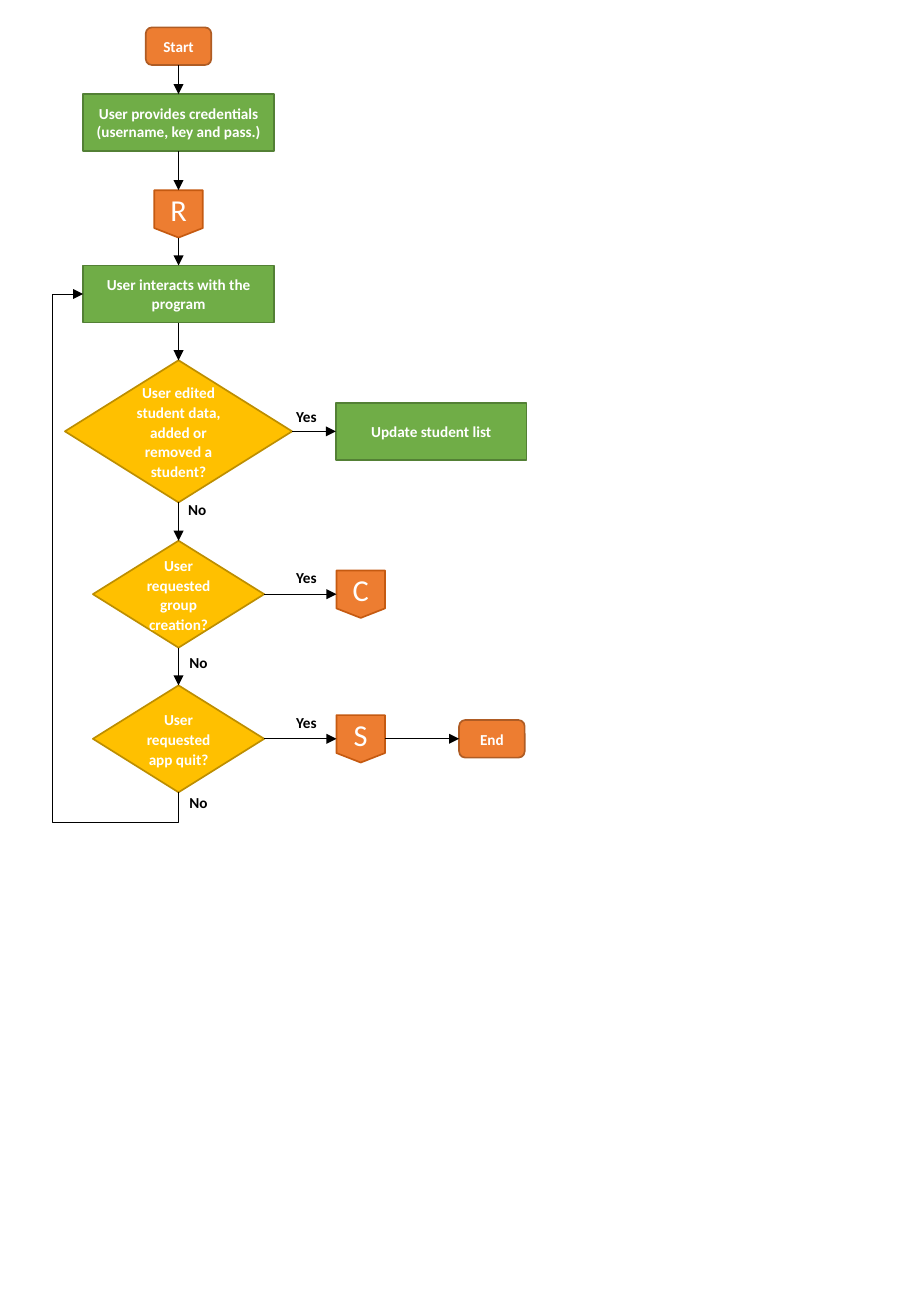
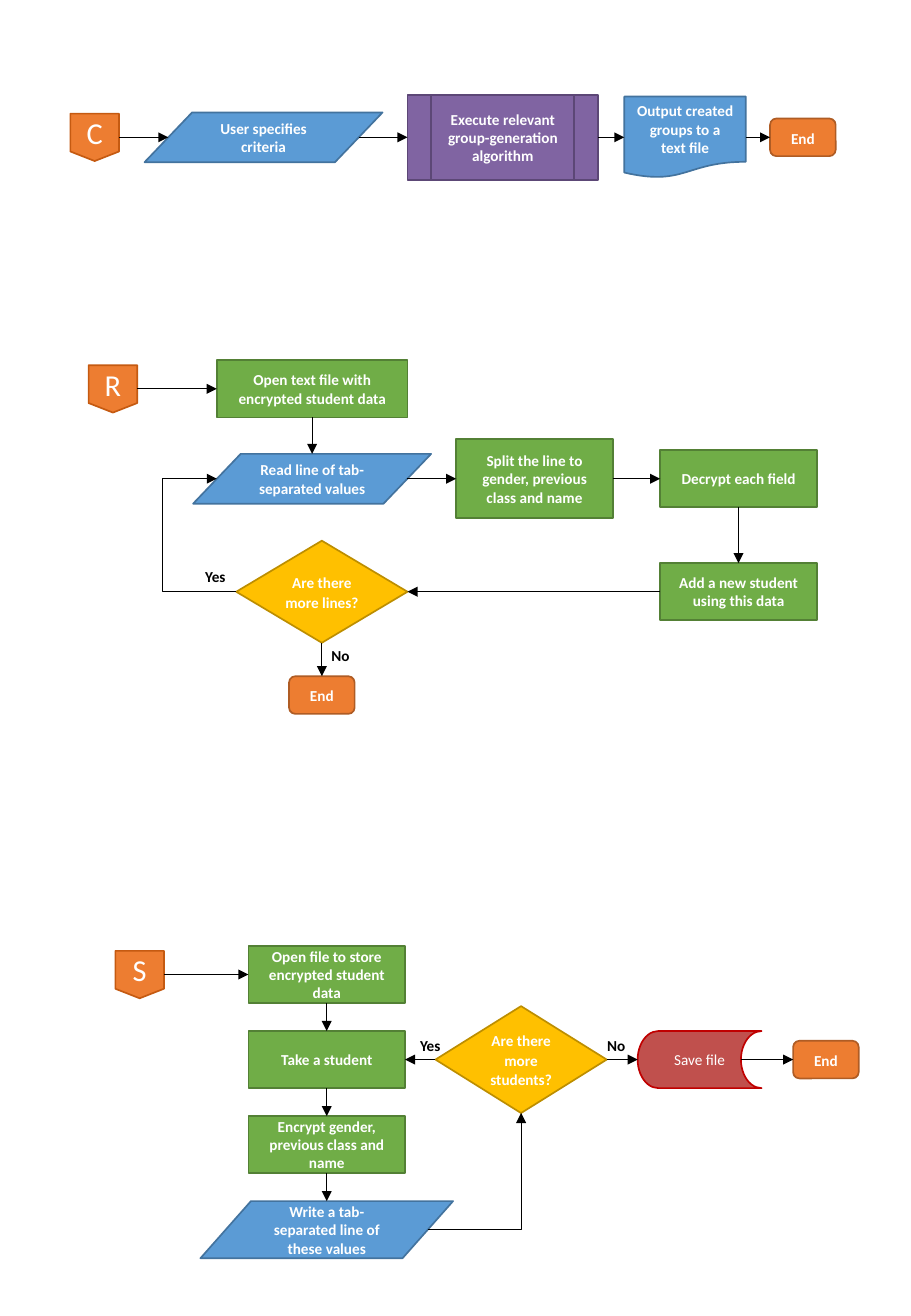
from dataclasses import dataclass
from enum import IntEnum

from pptx import Presentation
from pptx import util as u
from pptx.dml.color import RGBColor
from pptx.enum import shapes, text
from pptx.oxml.ns import qn
from pptx.slide import Slide
from lxml import etree

PX = u.Inches(1) // 100
SLIDE_SIZE = (750, 1083)
FONT = "Calibri"

WHITE = RGBColor(0xFF, 0xFF, 0xFF)
BLACK = RGBColor(0x00, 0x00, 0x00)
ORANGE = RGBColor(0xED, 0x7D, 0x31)
ORANGE_EDGE = RGBColor(0xAF, 0x5C, 0x24)
PAGE_EDGE = RGBColor(0xC5, 0x5A, 0x11)
GREEN = RGBColor(0x70, 0xAD, 0x47)
GREEN_EDGE = RGBColor(0x53, 0x80, 0x35)
YELLOW = RGBColor(0xFF, 0xC0, 0x00)
YELLOW_EDGE = RGBColor(0xBD, 0x8E, 0x00)
BLUE = RGBColor(0x5B, 0x9B, 0xD5)
BLUE_EDGE = RGBColor(0x43, 0x73, 0x9E)
PURPLE = RGBColor(0x80, 0x64, 0xA2)
PURPLE_EDGE = RGBColor(0x5C, 0x47, 0x76)
RED = RGBColor(0xC0, 0x50, 0x4D)
RED_EDGE = RGBColor(0xC0, 0x00, 0x00)


class Side(IntEnum):
    TOP = 0
    LEFT = 1
    BOTTOM = 2
    RIGHT = 3


TOP, LEFT, BOTTOM, RIGHT = Side


@dataclass(frozen=True)
class Kind:
    """Look of one flowchart symbol; insets are shares of its width."""
    preset: shapes.MSO_SHAPE
    fill: RGBColor
    edge: RGBColor
    width: int
    height: int
    font_size: int = 9
    bold: bool = True
    compact: bool = False
    left_inset: float = 0
    right_inset: float = 0


SYMBOL = shapes.MSO_SHAPE
TERMINAL = Kind(SYMBOL.FLOWCHART_ALTERNATE_PROCESS, ORANGE, ORANGE_EDGE, 54, 31, compact=True)
PROCESS = Kind(SYMBOL.FLOWCHART_PROCESS, GREEN, GREEN_EDGE, 157, 47)
DECISION = Kind(SYMBOL.FLOWCHART_DECISION, YELLOW, YELLOW_EDGE, 141, 88, compact=True)
PAGE_LINK = Kind(SYMBOL.FLOWCHART_OFFPAGE_CONNECTOR, ORANGE, PAGE_EDGE, 40, 39,
                 font_size=18, bold=False)
DATA = Kind(SYMBOL.FLOWCHART_DATA, BLUE, BLUE_EDGE, 196, 41, left_inset=0.1, right_inset=0.1)
ROUTINE = Kind(SYMBOL.FLOWCHART_PREDEFINED_PROCESS, PURPLE, PURPLE_EDGE, 157, 70)
DOCUMENT = Kind(SYMBOL.FLOWCHART_DOCUMENT, BLUE, BLUE_EDGE, 100, 67)
STORAGE = Kind(SYMBOL.FLOWCHART_STORED_DATA, RED, RED_EDGE, 102, 47,
               bold=False, right_inset=1 / 6)


@dataclass(frozen=True)
class Node:
    """A symbol placed by its centre."""
    kind: Kind
    x: int
    y: int
    text: str
    custom_width: int = 0
    custom_height: int = 0

    @property
    def width(self) -> int:
        return self.custom_width or self.kind.width

    @property
    def height(self) -> int:
        return self.custom_height or self.kind.height

    def inset(self, side: Side) -> float:
        return {LEFT: self.kind.left_inset, RIGHT: self.kind.right_inset}.get(side, 0)

    def port(self, side: Side) -> tuple[float, float]:
        """Point where an arrow meets the given side."""
        if side in (TOP, BOTTOM):
            return self.x, self.y + (side - 1) * self.height / 2
        return self.x + (side - 2) * self.width * (0.5 - self.inset(side)), self.y


@dataclass(frozen=True)
class Arrow:
    """bends holds the x, then the y, at which an elbow turns; None means straight."""
    start: str
    start_side: Side
    end: str
    end_side: Side
    bends: tuple[int, ...] | None = None
    head_end: str = "tailEnd"


@dataclass(frozen=True)
class Label:
    text: str
    left: int
    top: int


@dataclass(frozen=True)
class Chart:
    nodes: dict[str, Node]
    arrows: list[Arrow]
    labels: list[Label]


MAIN = Chart(
    nodes={
        "start": Node(TERMINAL, 147, 38, "Start"),
        "credentials": Node(PROCESS, 147, 101,
                            "User provides credentials (username, key and pass.)"),
        "read": Node(PAGE_LINK, 147, 176, "R"),
        "interact": Node(PROCESS, 147, 242, "User interacts with the program"),
        "edited": Node(DECISION, 147, 355,
                       "User edited student data, added or removed a student?", 187, 117),
        "update": Node(PROCESS, 355, 355, "Update student list"),
        "group": Node(DECISION, 147, 489, "User requested group creation?"),
        "create": Node(PAGE_LINK, 297, 489, "C"),
        "quit": Node(DECISION, 147, 608, "User requested app quit?"),
        "save": Node(PAGE_LINK, 297, 608, "S"),
        "end": Node(TERMINAL, 405, 608, "End"),
    },
    arrows=[
        Arrow("start", BOTTOM, "credentials", TOP),
        Arrow("credentials", BOTTOM, "read", TOP),
        Arrow("read", BOTTOM, "interact", TOP),
        Arrow("interact", BOTTOM, "edited", TOP),
        Arrow("edited", BOTTOM, "group", TOP),
        Arrow("group", BOTTOM, "quit", TOP),
        Arrow("edited", RIGHT, "update", LEFT),
        Arrow("group", RIGHT, "create", LEFT),
        Arrow("quit", RIGHT, "save", LEFT),
        Arrow("save", RIGHT, "end", LEFT),
        Arrow("interact", LEFT, "quit", BOTTOM, (43, 677), "headEnd"),
    ],
    labels=[
        Label("Yes", 234, 330), Label("Yes", 234, 463), Label("Yes", 234, 582),
        Label("No", 145, 407), Label("No", 146, 533), Label("No", 146, 648),
    ],
)

SUBROUTINES = Chart(
    nodes={
        "create": Node(PAGE_LINK, 78, 113, "C"),
        "criteria": Node(DATA, 217, 113, "User specifies criteria"),
        "generate": Node(ROUTINE, 414, 113, "Execute relevant group-generation algorithm"),
        "output": Node(DOCUMENT, 564, 113, "Output created groups to a text file"),
        "created": Node(TERMINAL, 661, 113, "End"),

        "read": Node(PAGE_LINK, 93, 320, "R"),
        "open": Node(PROCESS, 257, 320, "Open text file with encrypted student data"),
        "line": Node(DATA, 257, 394, "Read line of tab-separated values"),
        "split": Node(PROCESS, 440, 394,
                      "Split the line to gender, previous class and name", 129, 65),
        "decrypt": Node(PROCESS, 608, 394, "Decrypt each field", 129),
        "add": Node(PROCESS, 608, 487, "Add a new student using this data", 129),
        "more lines": Node(DECISION, 265, 487, "Are there more lines?", 141, 84),
        "read done": Node(TERMINAL, 265, 572, "End"),

        "save": Node(PAGE_LINK, 115, 802, "S"),
        "store": Node(PROCESS, 269, 802, "Open file to store encrypted student data", 129),
        "take": Node(PROCESS, 269, 872, "Take a student", 129),
        "encrypt": Node(PROCESS, 269, 942, "Encrypt gender, previous class and name", 129),
        "write": Node(DATA, 269, 1012, "Write a tab-separated line of these values", 208, 47),
        "more students": Node(DECISION, 429, 872, "Are there more students?"),
        "save file": Node(STORAGE, 576, 872, "Save file"),
        "saved": Node(TERMINAL, 680, 872, "End"),
    },
    arrows=[
        Arrow("create", RIGHT, "criteria", LEFT),
        Arrow("criteria", RIGHT, "generate", LEFT),
        Arrow("generate", RIGHT, "output", LEFT),
        Arrow("output", RIGHT, "created", LEFT),
        Arrow("read", RIGHT, "open", LEFT),
        Arrow("open", BOTTOM, "line", TOP),
        Arrow("line", RIGHT, "split", LEFT),
        Arrow("split", RIGHT, "decrypt", LEFT),
        Arrow("decrypt", BOTTOM, "add", TOP),
        Arrow("add", LEFT, "more lines", RIGHT),
        Arrow("more lines", LEFT, "line", LEFT, (134,)),
        Arrow("more lines", BOTTOM, "read done", TOP),
        Arrow("save", RIGHT, "store", LEFT),
        Arrow("store", BOTTOM, "take", TOP),
        Arrow("take", BOTTOM, "encrypt", TOP),
        Arrow("encrypt", BOTTOM, "write", TOP),
        Arrow("write", RIGHT, "more students", BOTTOM, ()),
        Arrow("more students", LEFT, "take", RIGHT),
        Arrow("more students", RIGHT, "save file", LEFT),
        Arrow("save file", RIGHT, "saved", LEFT),
    ],
    labels=[
        Label("Yes", 159, 462), Label("No", 263, 527),
        Label("Yes", 336, 848), Label("No", 490, 848),
    ],
)


def px(length: float) -> u.Emu:
    return u.Emu(round(length * PX))


def set_font(paragraph, size: int, bold: bool, color: RGBColor) -> None:
    font = paragraph.font
    font.name, font.size, font.bold = FONT, u.Pt(size), bold
    font.color.rgb = color


def add_node(slide: Slide, node: Node):
    kind = node.kind
    shape = slide.shapes.add_shape(
        kind.preset, px(node.x - node.width / 2), px(node.y - node.height / 2),
        px(node.width), px(node.height))
    shape.shadow.inherit = False
    shape.fill.solid()
    shape.fill.fore_color.rgb = kind.fill
    shape.line.color.rgb = kind.edge
    shape.line.width = u.Pt(1)
    frame = shape.text_frame
    frame.text = node.text
    frame.word_wrap = True
    frame.vertical_anchor = text.MSO_ANCHOR.MIDDLE
    paragraph = frame.paragraphs[0]
    paragraph.alignment = text.PP_ALIGN.CENTER
    set_font(paragraph, kind.font_size, kind.bold, WHITE)
    if kind.compact:
        frame.margin_left = frame.margin_right = px(5)
        frame.margin_top = frame.margin_bottom = px(2)
        paragraph.line_spacing = 1.07
        paragraph.space_after = u.Pt(3.7)
    return shape


def bend_elbow(connector, begin: tuple, end: tuple, bends: tuple[int, ...]) -> None:
    """Choose the elbow preset and place its turns."""
    geometry = connector._element.spPr.find(qn("a:prstGeom"))
    geometry.set("prst", f"bentConnector{len(bends) + 2}")
    guides = geometry.get_or_add_avLst()
    for number, (bend, first, last) in enumerate(zip(bends, begin, end), 1):
        share = round((bend - first) / (last - first) * 100000)
        etree.SubElement(guides, qn("a:gd"), name=f"adj{number}", fmla=f"val {share}")


def add_arrow(slide: Slide, arrow: Arrow, nodes: dict[str, Node], drawn: dict) -> None:
    start, end = nodes[arrow.start], nodes[arrow.end]
    begin_point, end_point = start.port(arrow.start_side), end.port(arrow.end_side)
    straight = arrow.bends is None
    kind = shapes.MSO_CONNECTOR.STRAIGHT if straight else shapes.MSO_CONNECTOR.ELBOW
    connector = slide.shapes.add_connector(kind, *map(px, begin_point + end_point))
    if not start.inset(arrow.start_side):
        connector.begin_connect(drawn[arrow.start], arrow.start_side)
    if not end.inset(arrow.end_side):
        connector.end_connect(drawn[arrow.end], arrow.end_side)
    if not straight:
        bend_elbow(connector, begin_point, end_point, arrow.bends)
    connector.line.color.rgb = BLACK
    connector.line.width = u.Pt(0.5)
    etree.SubElement(connector.line._get_or_add_ln(), qn(f"a:{arrow.head_end}"), type="triangle")
    etree.SubElement(connector._element.spPr, qn("a:effectLst"))


def add_label(slide: Slide, label: Label) -> None:
    width = 38 if label.text == "Yes" else 35
    box = slide.shapes.add_textbox(px(label.left), px(label.top), px(width), px(25))
    frame = box.text_frame
    frame.text = label.text
    frame.word_wrap = False
    frame.auto_size = text.MSO_AUTO_SIZE.SHAPE_TO_FIT_TEXT
    set_font(frame.paragraphs[0], 9, True, BLACK)


def main() -> None:
    presentation = Presentation()
    presentation.slide_width, presentation.slide_height = map(px, SLIDE_SIZE)
    for chart in (MAIN, SUBROUTINES):
        slide = presentation.slides.add_slide(presentation.slide_layouts[6])
        drawn = {name: add_node(slide, node) for name, node in chart.nodes.items()}
        for arrow in chart.arrows:
            add_arrow(slide, arrow, chart.nodes, drawn)
        for label in chart.labels:
            add_label(slide, label)
    presentation.save("out.pptx")


if __name__ == "__main__":
    main()
